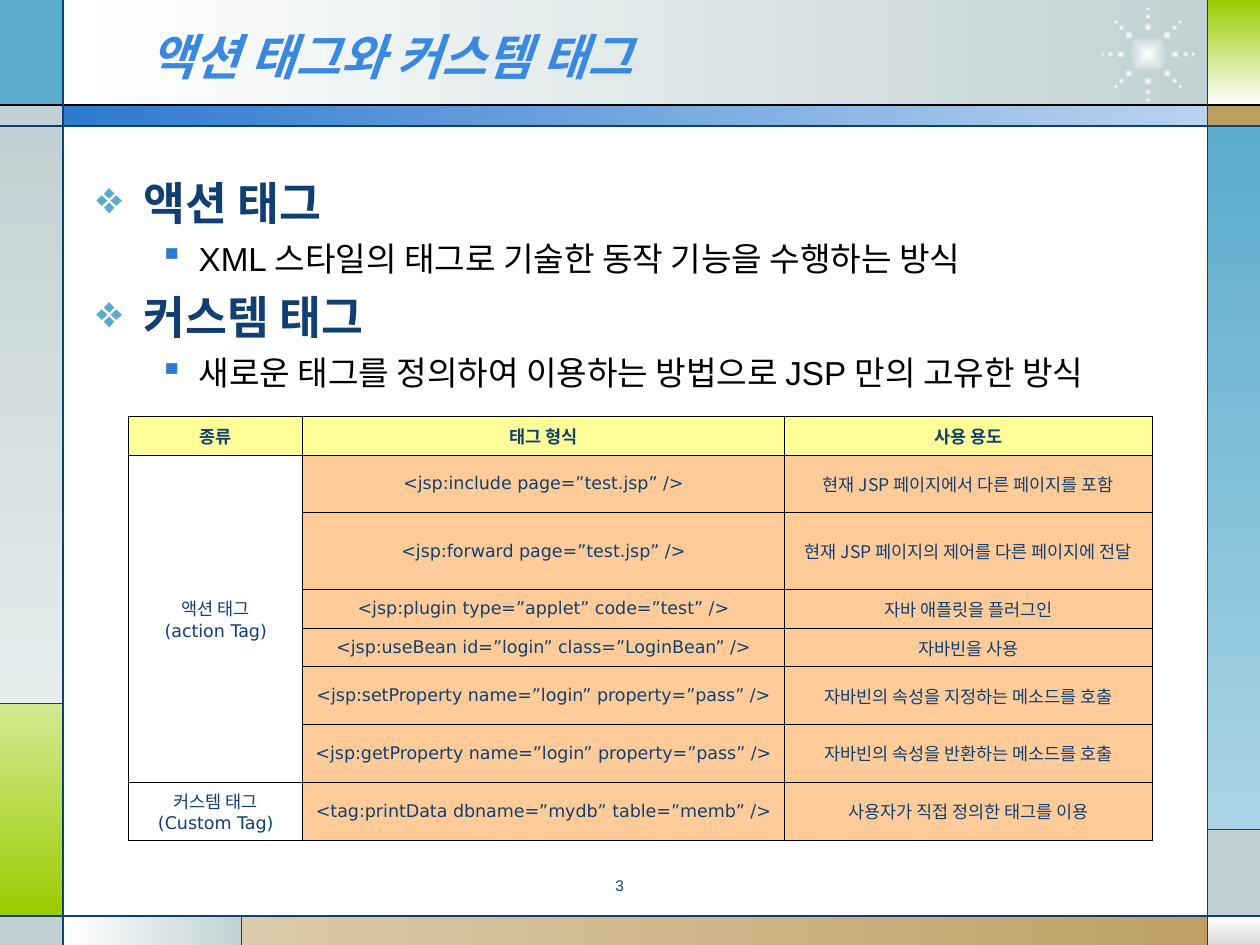
import math
from lxml import etree
from pptx import Presentation
from pptx.dml.color import RGBColor
from pptx.enum import shapes, text
from pptx.oxml import ns, xmlchemy
from pptx.util import Pt

C = {"navy": "113F71", "black": "000000", "white": "FFFFFF", "title": "3989E1",
     "blue": "2D7ACF", "pale": "B9D3EF", "sky": "5AABCC", "mist": "AAD4E5",
     "grey": "C1D1D3", "fog": "E5ECEC", "silver": "D8D8D8", "green": "99CC00",
     "lime": "D4E993", "tan": "BD9E61", "sand": "DBCAA9",
     "yellow": "FFFF99", "peach": "FFCC99"}
KR, SANS, ARIAL = "Noto Sans CJK KR", "DejaVu Sans", "Arial"


def add_run(p, content, color, **fmt):
    r = p.add_run()
    r.text = content
    for name, value in fmt.items():
        setattr(r.font, name, value)
    r.font.color.rgb = RGBColor.from_string(C[color])
    etree.SubElement(r.font._element, ns.qn("a:ea"), typeface=KR)


def add_block(kind, box, colors, angle=0):
    sp = s.shapes.add_shape(kind, *map(Pt, box))
    sp.shadow.inherit = False
    sp.line.fill.background()
    if len(colors) == 1:
        sp.fill.solid()
        sp.fill.fore_color.rgb = RGBColor.from_string(C[colors[0]])
    else:
        sp.fill.gradient()
        sp.fill.gradient_angle = 360 - angle
        for stop, color in zip(sp.fill.gradient_stops, colors):
            stop.color.rgb = RGBColor.from_string(C[color])
    return sp


prs = Presentation()
prs.slide_width, prs.slide_height = Pt(720), Pt(540)
s = prs.slides.add_slide(prs.slide_layouts[5])

blocks = [
    ((36, 0, 668, 60), ["white", "grey"], 0),
    ((0, 0, 36, 60), ["sky"], 0),
    ((0, 60, 36, 12), ["grey"], 0),
    ((0, 72, 36, 330), ["grey", "fog"], 90),
    ((0, 402, 36, 122), ["lime", "green"], 90),
    ((0, 524, 36, 16), ["grey"], 0),
    ((36, 524, 102, 16), ["white", "grey"], 0),
    ((138, 524, 582, 16), ["sand", "tan"], 0),
    ((690, 524, 30, 16), ["white", "silver"], 90),
    ((690, 474, 30, 50), ["grey"], 0),
    ((690, 72, 30, 402), ["sky", "mist"], 90),
    ((690, 60, 30, 12), ["tan"], 0),
    ((690, 0, 30, 60), ["green", "white"], 90),
    ((36, 60, 654, 12), ["blue", "pale"], 0),
]
for box, colors, angle in blocks:
    add_block(shapes.MSO_SHAPE.RECTANGLE, box, colors, angle)

cx, cy = 656, 31
dots = [(cx, cy, 21.6)]
for spoke in range(8):
    a = math.radians(45 * spoke)
    for radius, size in [(15.5, 5), (21.5, 3.4), (26, 2.5)]:
        dots.append((cx + radius * math.cos(a), cy + radius * math.sin(a), size))
for x, y, size in dots:
    sp = add_block(shapes.MSO_SHAPE.OVAL, (x - size / 2, y - size / 2, size, size),
                   ["white", "grey"])
    lin = sp.element.spPr.find(".//" + ns.qn("a:lin"))
    burst = etree.Element(ns.qn("a:path"), path="rect")
    etree.SubElement(burst, ns.qn("a:fillToRect"), l="50000", t="50000", r="50000", b="50000")
    lin.getparent().replace(lin, burst)

rules = [(0, 60, 720, 60, "black"), (0, 72, 720, 72, "navy"), (0, 523.5, 720, 523.5, "navy"),
         (36, 0, 36, 540, "navy"), (690, 0, 690, 540, "navy"), (36, 402, 0, 402, "navy"),
         (138, 523.5, 138, 540, "navy"), (690, 474, 720, 474, "navy")]
for *ends, color in rules:
    line = s.shapes.add_connector(shapes.MSO_CONNECTOR.STRAIGHT, *map(Pt, ends))
    line.line.width = Pt(0.75)
    line.line.color.rgb = RGBColor.from_string(C[color])
    etree.SubElement(line.element.spPr, ns.qn("a:effectLst"))

title = s.shapes.title
for name, value in dict(left=78, top=9.5, width=528, height=44.5).items():
    setattr(title, name, Pt(value))
title.element.getparent().append(title.element)
tf = title.text_frame
tf.auto_size = text.MSO_AUTO_SIZE.NONE
tf.vertical_anchor = text.MSO_ANCHOR.MIDDLE
p = tf.paragraphs[0]
p.alignment = text.PP_ALIGN.LEFT
add_run(p, "액션 태그와 커스템 태그", "title", name=KR, size=Pt(28), bold=True, italic=True)

tf = s.shapes.add_textbox(Pt(48), Pt(96.5), Pt(632), Pt(140)).text_frame
tf.word_wrap = True
levels = [
    dict(bullet="❖", tint="sky", margin=27, hang=27, before=6.5, color="navy",
         font=dict(name=KR, size=Pt(26), bold=True)),
    dict(bullet="▪", tint="blue", margin=58.5, hang=22.5, before=4.8, color="black",
         font=dict(name=ARIAL, size=Pt(19), bold=False)),
]
items = [(0, "액션 태그"),
         (1, "XML 스타일의 태그로 기술한 동작 기능을 수행하는 방식"),
         (0, "커스템 태그"),
         (1, "새로운 태그를 정의하여 이용하는 방법으로 JSP 만의 고유한 방식")]
for i, (level, content) in enumerate(items):
    style = levels[level]
    p = tf.add_paragraph() if i else tf.paragraphs[0]
    p.level = level
    p.space_before = Pt(style["before"])
    pPr = p._p.get_or_add_pPr()
    pPr.set("marL", str(Pt(style["margin"])))
    pPr.set("indent", str(-Pt(style["hang"])))
    tint = etree.SubElement(pPr, ns.qn("a:buClr"))
    etree.SubElement(tint, ns.qn("a:srgbClr"), val=C[style["tint"]])
    etree.SubElement(pPr, ns.qn("a:buChar"), char=style["bullet"])
    add_run(p, content, style["color"], **style["font"])

rows = [
    ("종류", "태그 형식", "사용 용도"),
    ("액션 태그\n(action Tag)", "<jsp:include page=”test.jsp” />", "현재 |JSP |페이지에서 다른 페이지를 포함"),
    ("", "<jsp:forward page=”test.jsp” />", "현재 |JSP |페이지의 제어를 다른 페이지에 전달"),
    ("", "<jsp:plugin type=”applet” code=”test” />", "자바 애플릿을 플러그인"),
    ("", "<jsp:useBean id=”login” class=”LoginBean” />", "자바빈을 사용"),
    ("", "<jsp:setProperty name=”login” property=”pass” />", "자바빈의 속성을 지정하는 메소드를 호출"),
    ("", "<jsp:getProperty name=”login” property=”pass” />", "자바빈의 속성을 반환하는 메소드를 호출"),
    ("커스템 태그\n(Custom Tag)", "<tag:printData dbname=”mydb” table=”memb” />", "사용자가 직접 정의한 태그를 이용"),
]
widths = [99.5, 275, 210.5]
heights = [22, 33, 44, 22, 22, 33, 33, 33]
table = s.shapes.add_table(len(rows), len(widths), Pt(73.5), Pt(238),
                           Pt(sum(widths)), Pt(sum(heights))).table
for col, width in zip(table.columns, widths):
    col.width = Pt(width)
for row, height in zip(table.rows, heights):
    row.height = Pt(height)
table.cell(1, 0).merge(table.cell(6, 0))
for i, row in enumerate(rows):
    for j, content in enumerate(row):
        cell = table.cell(i, j)
        cell.vertical_anchor = text.MSO_ANCHOR.MIDDLE
        for side in ("left", "right", "top", "bottom"):
            setattr(cell, "margin_" + side, Pt(3.6))
        tcPr = cell._tc.get_or_add_tcPr()
        for side in "LRTB":
            ln = etree.SubElement(tcPr, ns.qn("a:ln" + side), w=str(Pt(0.45)))
            fill = etree.SubElement(ln, ns.qn("a:solidFill"))
            etree.SubElement(fill, ns.qn("a:srgbClr"), val=C["black"])
        if i and j == 0:
            cell.fill.background()
        else:
            cell.fill.solid()
            cell.fill.fore_color.rgb = RGBColor.from_string(C["peach" if i else "yellow"])
        for k, line in enumerate(content.split("\n") if content else []):
            p = cell.text_frame.add_paragraph() if k else cell.text_frame.paragraphs[0]
            p.alignment = text.PP_ALIGN.CENTER
            for part in line.split("|"):
                add_run(p, part, "navy", name=KR if part == "JSP " else SANS,
                        size=Pt(10), bold=i == 0)

tf = s.shapes.add_textbox(Pt(270), Pt(499), Pt(168), Pt(19.5)).text_frame
tf.word_wrap = True
p = tf.paragraphs[0]
p.alignment = text.PP_ALIGN.CENTER
p.line_spacing = 0.8
add_run(p, "3", "navy", name=ARIAL, size=Pt(8.8))

prs.save("out.pptx")
